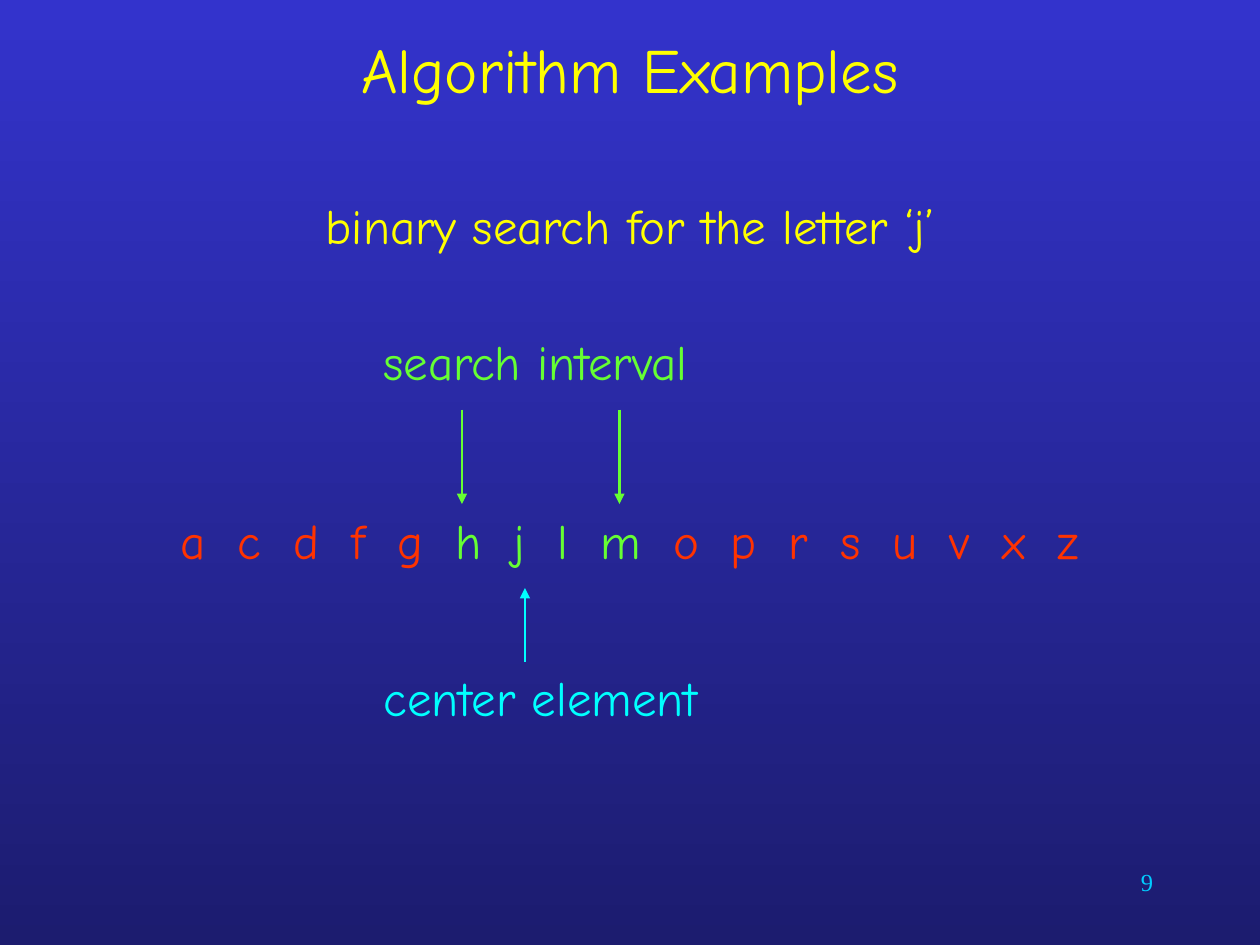
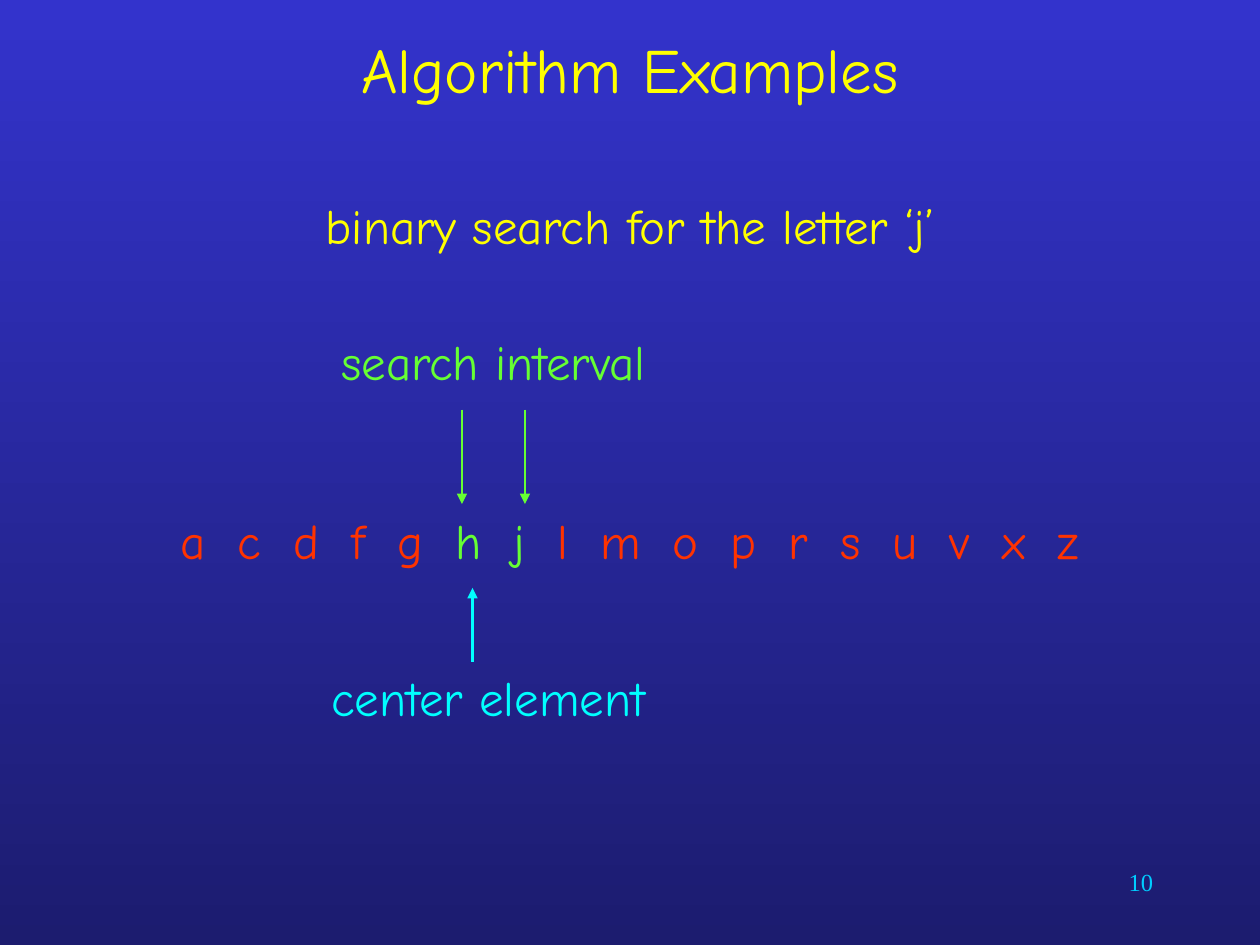
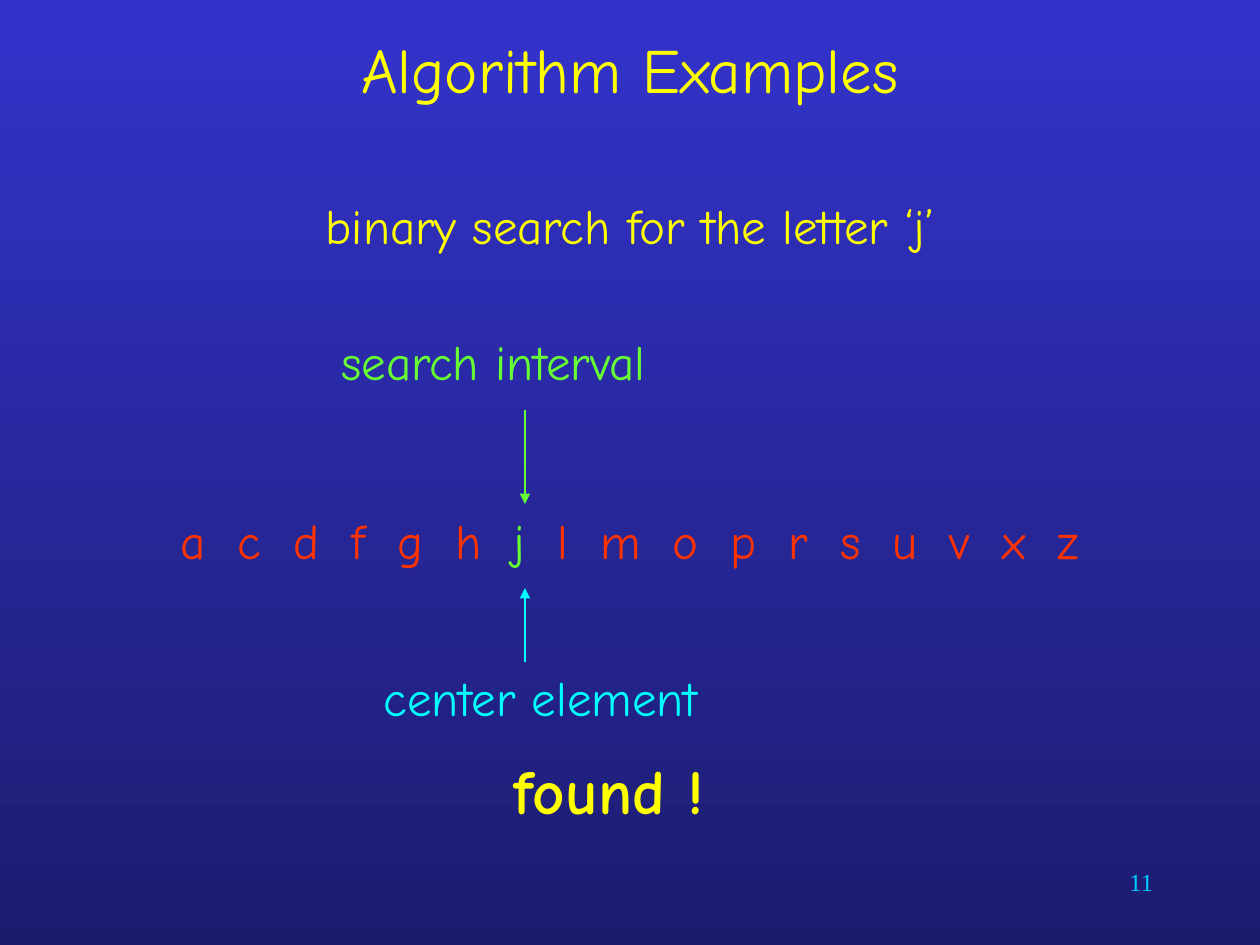
import pptx
import pptx.dml.color
import pptx.enum.shapes
import pptx.enum.text
import pptx.oxml.ns
import pptx.util
from lxml import etree

RGBColor = pptx.dml.color.RGBColor
SKY = RGBColor(0x33, 0x33, 0xCC)
NIGHT = RGBColor(0x1C, 0x1C, 0x6F)
YELLOW = RGBColor(0xFF, 0xFF, 0x00)
RED = RGBColor(0xFF, 0x33, 0x00)
GREEN = RGBColor(0x66, 0xFF, 0x33)
CYAN = RGBColor(0x00, 0xFF, 0xFF)
PAGE_BLUE = RGBColor(0x00, 0xCC, 0xFF)

EMU_PER_PX = 9525
LETTERS = "acdfghjlmoprsuvxz"
LETTER_SPACING = 450  # hundredths of a point
CENTER = pptx.enum.text.PP_ALIGN.CENTER
RIGHT = pptx.enum.text.PP_ALIGN.RIGHT


def px(length):
    return pptx.util.Emu(length * EMU_PER_PX)


class Deck:
    """Holds the presentation style and the slide being filled."""

    def __init__(self):
        self.presentation = pptx.Presentation()
        self.presentation.slide_width = px(960)
        self.presentation.slide_height = px(720)
        self.slide = None

    def new_slide(self, number):
        layout = self.presentation.slide_layouts[6]
        self.slide = self.presentation.slides.add_slide(layout)
        fill = self.slide.background.fill
        fill.gradient()
        fill.gradient_angle = 270
        for stop, color in zip(fill.gradient_stops, (SKY, NIGHT)):
            stop.color.rgb = color
        self.text(688, 656, 200, 48, [(str(number), PAGE_BLUE)], size=14,
                  font="Times New Roman", align=RIGHT)
        title = self.text(72, 16, 816, 72, [("Algorithm Examples", YELLOW)], size=36)
        title.vertical_anchor = pptx.enum.text.MSO_ANCHOR.MIDDLE

    def text(self, left, top, width, height, parts, size=28, font="Comic Neue",
             align=CENTER, bold=False, spacing=0):
        """Add one line made of (words, color) parts and return its text frame."""
        box = self.slide.shapes.add_textbox(px(left), px(top), px(width), px(height))
        frame = box.text_frame
        frame.word_wrap = True
        line = frame.paragraphs[0]
        line.alignment = align
        line.font.size = pptx.util.Pt(size)
        line.font.name = font
        line.font.bold = bold
        for words, color in parts:
            run = line.add_run()
            run.text = words
            run.font.color.rgb = color
            if spacing:
                run.font._element.set("spc", str(spacing))
        return frame

    def arrow(self, x, start, end, color):
        connector = self.slide.shapes.add_connector(
            pptx.enum.shapes.MSO_CONNECTOR.STRAIGHT, px(x), px(start), px(x), px(end))
        connector.line.color.rgb = color
        connector.line.width = pptx.util.Pt(1.5)
        qn = pptx.oxml.ns.qn
        etree.SubElement(connector.line._get_or_add_ln(), qn("a:tailEnd"), type="triangle")
        etree.SubElement(connector._element.spPr, qn("a:effectLst"))

    def letters(self, interval):
        """Show the sorted letters with the search interval in green."""
        before, after = LETTERS.split(interval)
        parts = [(" ".join(before) + " ", RED), (" ".join(interval) + " ", GREEN),
                 (" ".join(after), RED)]
        self.text(88, 384, 784, 55, parts, spacing=LETTER_SPACING)

    def search_step(self, number, interval, interval_left, bounds, center_left):
        self.new_slide(number)
        self.letters(interval)
        self.text(88, 144, 784, 55, [("binary search for the letter ‘j’", YELLOW)])
        for bound in bounds:
            self.arrow(bound, 312, 384, GREEN)
        self.text(center_left, 504, 296, 55, [("center element", CYAN)])
        self.arrow(center_left + 136, 504, 448, CYAN)
        self.text(interval_left, 248, 288, 55, [("search interval", GREEN)])


def main():
    deck = Deck()
    deck.search_step(9, "hjlm", 264, (472, 352), 264)
    deck.search_step(10, "hj", 232, (400, 352), 224)
    deck.search_step(11, "j", 232, (400,), 264)
    deck.text(72, 568, 784, 67, [("found !", YELLOW)], size=36, bold=True)
    deck.presentation.save("out.pptx")


if __name__ == "__main__":
    main()
